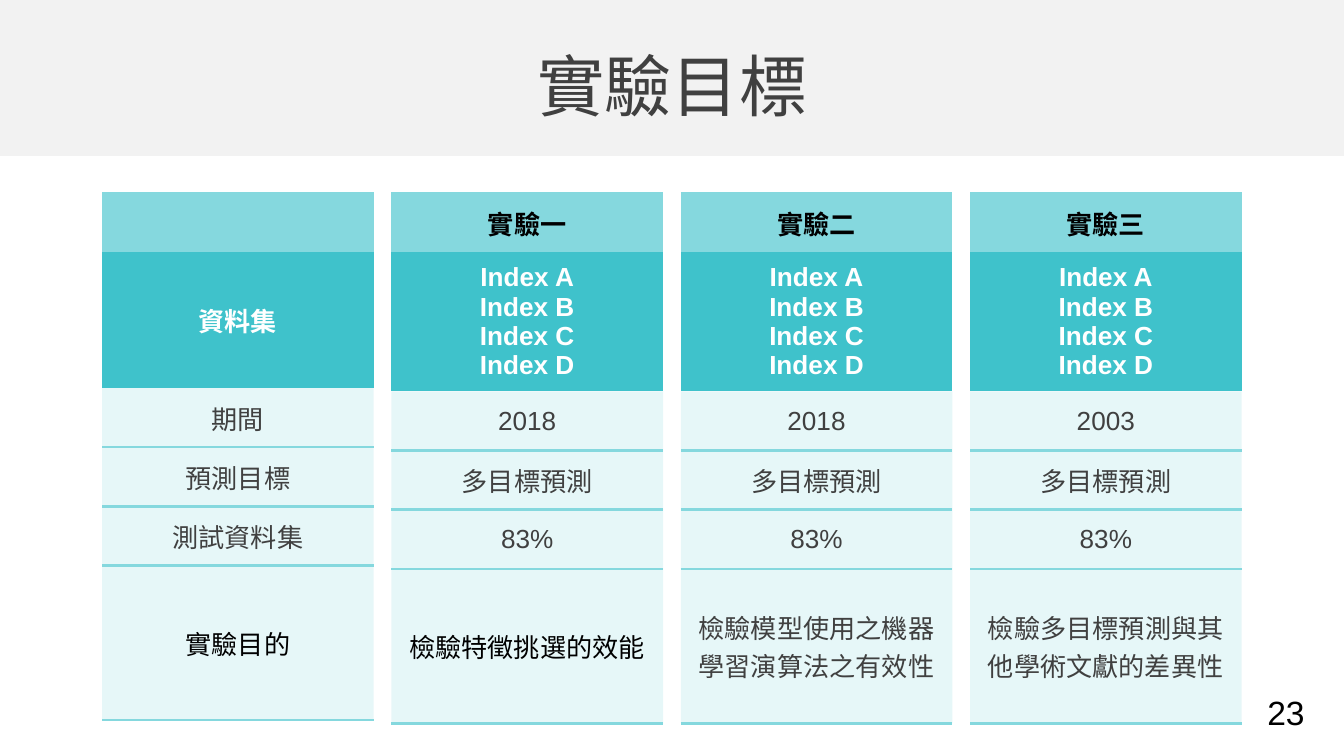
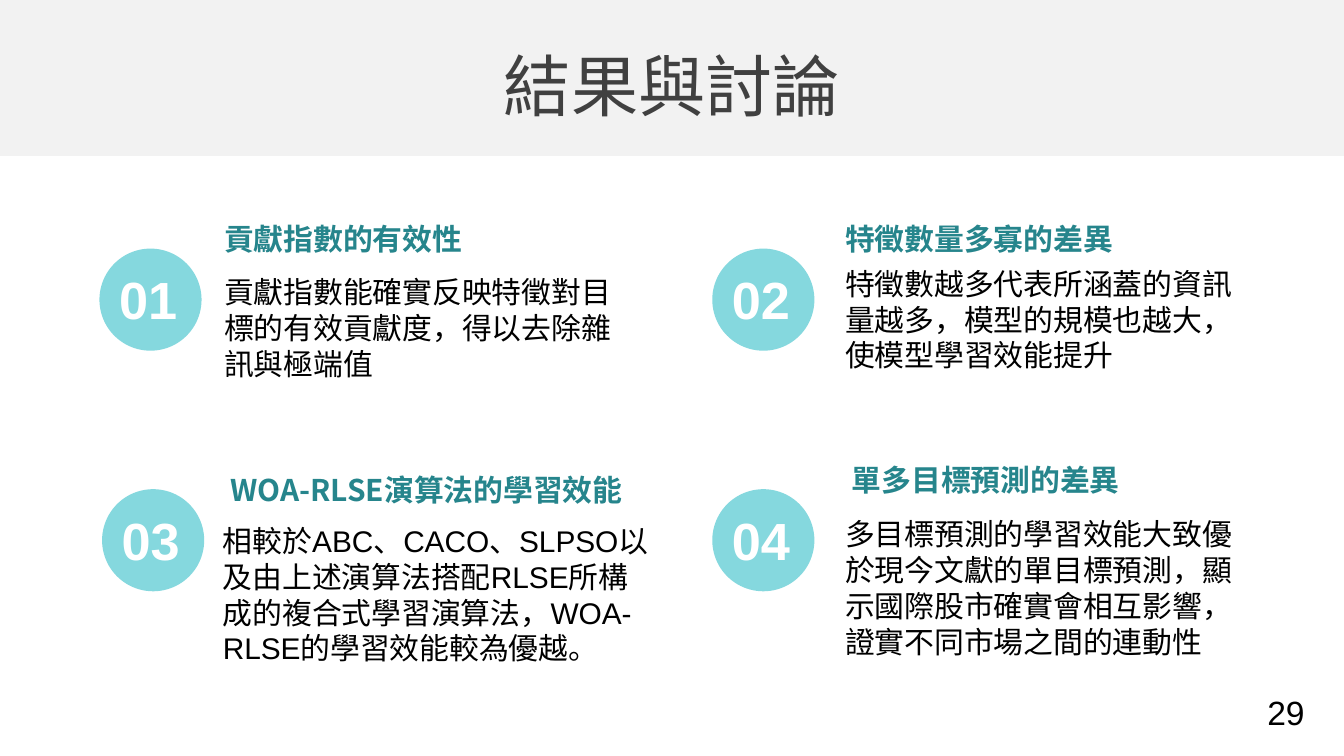
from dataclasses import dataclass

from lxml import etree
from pptx import Presentation
from pptx.dml.color import RGBColor
from pptx.enum import shapes, text
from pptx.oxml import ns
from pptx.util import Pt

# Shared look
COLORS = {
    "band": "F2F2F2", "aqua": "85D8DE", "teal": "3FC2CB", "heading": "26858C",
    "gray": "404040", "black": "000000", "white": "FFFFFF",
}
LATIN, CJK = "Arial", "Noto Sans CJK SC"
PAGE_WIDTH, PAGE_HEIGHT = 720, 405


@dataclass(frozen=True)
class Style:
    size: float
    color: str
    font: str = CJK
    bold: bool = False


TITLE = Style(36, "gray")
PAGE_NUMBER = Style(18, "black", LATIN)
HEADING = Style(16, "heading", bold=True)
BODY = Style(16, "black")
BODY_LATIN = Style(16, "black", LATIN)
DISC_NUMBER = Style(28, "white", LATIN, True)
LINE_PITCH = 19.2


@dataclass(frozen=True)
class Rect:
    left: float
    top: float
    width: float
    height: float

    def points(self) -> tuple:
        return Pt(self.left), Pt(self.top), Pt(self.width), Pt(self.height)


@dataclass(frozen=True)
class Cell:
    words: str
    color: str = "gray"
    font: str = CJK


@dataclass(frozen=True)
class Experiment:
    cells: tuple[Cell, ...]
    data_height: float = 74.2


@dataclass(frozen=True)
class Finding:
    number: str
    disc: tuple[float, float]
    heading: str
    heading_at: tuple[float, float]
    body: str
    body_box: Rect
    style: Style = BODY


def rgb(name: str) -> RGBColor:
    return RGBColor.from_string(COLORS[name])


# Text
def add_span(para, words: str, style: Style) -> None:
    span = para.add_run()
    span.text = words
    span.font.size = Pt(style.size)
    span.font.bold = style.bold
    span.font.color.rgb = rgb(style.color)
    span.font.name = style.font
    latin = span._r.rPr.find(ns.qn("a:latin"))
    latin.addnext(latin.makeelement(ns.qn("a:ea"), {"typeface": CJK}))


def fill_frame(frame, words: str, style: Style, align=None, pitch: float | None = None) -> None:
    for index, line in enumerate(words.split("\n")):
        para = frame.add_paragraph() if index else frame.paragraphs[0]
        para.alignment = align
        if pitch:
            para.line_spacing = Pt(pitch)
        add_span(para, line, style)


def add_text(page, rect: Rect, words: str, style: Style, align=None, pitch: float | None = None,
             wrap: bool = True, grow: bool = True, middle: bool = True, inset: float = 3.6) -> None:
    frame = page.shapes.add_textbox(*rect.points()).text_frame
    frame.word_wrap = wrap
    frame.auto_size = text.MSO_AUTO_SIZE.SHAPE_TO_FIT_TEXT if grow else text.MSO_AUTO_SIZE.NONE
    frame.vertical_anchor = text.MSO_ANCHOR.MIDDLE if middle else text.MSO_ANCHOR.TOP
    frame.margin_top = frame.margin_bottom = Pt(inset)
    fill_frame(frame, words, style, align, pitch)


# Shapes
def add_plain_shape(page, kind, rect: Rect, color: str) -> None:
    shape = page.shapes.add_shape(kind, *rect.points())
    shape.shadow.inherit = False
    shape.fill.solid()
    shape.fill.fore_color.rgb = rgb(color)
    shape.line.fill.background()


def add_page(deck, title: str, number: str):
    page = deck.slides.add_slide(deck.slide_layouts[6])
    add_text(page, Rect(671.8, 367.2, 36.7, 28.8), number, PAGE_NUMBER, wrap=False, middle=False)
    add_plain_shape(page, shapes.MSO_SHAPE.RECTANGLE, Rect(0, 0, PAGE_WIDTH, 83.5), "band")
    add_text(page, Rect(0, 22.5, PAGE_WIDTH, 45.4), title, TITLE,
             text.PP_ALIGN.CENTER, grow=False)
    return page


# Tables
def paint_cell(cell, color: str, alpha: int | None = None) -> None:
    cell.fill.solid()
    cell.fill.fore_color.rgb = rgb(color)
    if alpha is not None:
        tint = cell._tc.tcPr.find(".//" + ns.qn("a:srgbClr"))
        etree.SubElement(tint, ns.qn("a:alpha"), val=str(alpha * 1000))


def set_borders(cell, top: bool, bottom: bool) -> None:
    properties = cell._tc.get_or_add_tcPr()
    sides = (("lnL", False), ("lnR", False), ("lnT", top), ("lnB", bottom))
    for index, (side, visible) in enumerate(sides):
        line = properties.makeelement(ns.qn("a:" + side), {"w": str(Pt(1.5))})
        if visible:
            fill = etree.SubElement(line, ns.qn("a:solidFill"))
            etree.SubElement(fill, ns.qn("a:srgbClr"), val=COLORS["aqua"])
        else:
            etree.SubElement(line, ns.qn("a:noFill"))
        properties.insert(index, line)


def add_experiment(page, left: float, experiment: Experiment) -> None:
    heights = (31.7, experiment.data_height, 31.7, 31.7, 31.7, 82.8)
    rect = Rect(left, 103.5, 145.5, sum(heights))
    table = page.shapes.add_table(len(heights), 1, *rect.points()).table
    table.first_row = table.horz_banding = False
    for index, (height, content) in enumerate(zip(heights, experiment.cells)):
        table.rows[index].height = Pt(height)
        cell = table.cell(index, 0)
        cell.vertical_anchor = text.MSO_ANCHOR.MIDDLE
        if index < 2:
            paint_cell(cell, ("aqua", "teal")[index])
        else:
            paint_cell(cell, "aqua", 20)
        set_borders(cell, top=index == 0 or index > 2, bottom=index >= 2)
        if content.words:
            style = Style(14, content.color, content.font, bold=index < 2)
            fill_frame(cell.text_frame, content.words, style, text.PP_ALIGN.CENTER)


def make_experiment(name: str, year: str, purpose: Cell) -> Experiment:
    return Experiment((
        Cell(name, "black"),
        Cell("Index A\nIndex B\nIndex C\nIndex D", "white", LATIN),
        Cell(year, font=LATIN),
        Cell("多目標預測"),
        Cell("83%", font=LATIN),
        purpose,
    ))


EXPERIMENTS = (
    Experiment((Cell(""), Cell("資料集", "white"), Cell("期間"), Cell("預測目標"),
                Cell("測試資料集"), Cell("實驗目的", "black")), 72.7),
    make_experiment("實驗一", "2018", Cell("檢驗特徵挑選的效能", "black")),
    make_experiment("實驗二", "2018", Cell("檢驗模型使用之機器學習演算法之有效性")),
    make_experiment("實驗三", "2003", Cell("檢驗多目標預測與其他學術文獻的差異性")),
)

# Findings
FINDINGS = (
    Finding("01", (53.3, 133.2), "貢獻指數的有效性", (113, 114.5),
            "貢獻指數能確實反映特徵對目標的有效貢獻度，得以去除雜訊與極端值",
            Rect(113, 142.6, 230.4, 65.5)),
    Finding("02", (381.6, 133.2), "特徵數量多寡的差異", (445.7, 114.5),
            "特徵數越多代表所涵蓋的資訊量越多，模型的規模也越大，使模型學習效能提升",
            Rect(445.7, 138.2, 230.4, 65.5)),
    Finding("03", (54.7, 262.1), "WOA-RLSE演算法的學習效能", (116.6, 249.1),
            "相較於ABC、CACO、SLPSO以及由上述演算法搭配RLSE所構成的複合式學習演算法，WOA-\n"
            "RLSE的學習效能較為優越。",
            Rect(112.3, 275.8, 247, 85), BODY_LATIN),
    Finding("04", (381.6, 262.1), "單多目標預測的差異", (449.3, 243.4),
            "多目標預測的學習效能大致優於現今文獻的單目標預測，顯示國際股市確實會相互影響，"
            "證實不同市場之間的連動性",
            Rect(445.7, 272.2, 230.4, 85)),
)


def add_finding(page, finding: Finding) -> None:
    left, top = finding.disc
    add_plain_shape(page, shapes.MSO_SHAPE.OVAL, Rect(left, top, 54.7, 54.7), "aqua")
    add_text(page, Rect(left + 3.4, top + 10.1, 47.5, 33.8), finding.number, DISC_NUMBER, inset=0)
    add_text(page, finding.body_box, finding.body, finding.style, pitch=LINE_PITCH)
    add_text(page, Rect(*finding.heading_at, 231, 26.6), finding.heading, HEADING,
             pitch=LINE_PITCH)


def main() -> None:
    deck = Presentation()
    deck.slide_width, deck.slide_height = Pt(PAGE_WIDTH), Pt(PAGE_HEIGHT)

    # Experiment goals
    goals = add_page(deck, "實驗目標", "23")
    for index, experiment in enumerate(EXPERIMENTS):
        add_experiment(goals, 54.7 + 155 * index, experiment)

    # Results and discussion
    results = add_page(deck, "結果與討論", "29")
    for finding in FINDINGS:
        add_finding(results, finding)

    deck.save("out.pptx")


if __name__ == "__main__":
    main()
